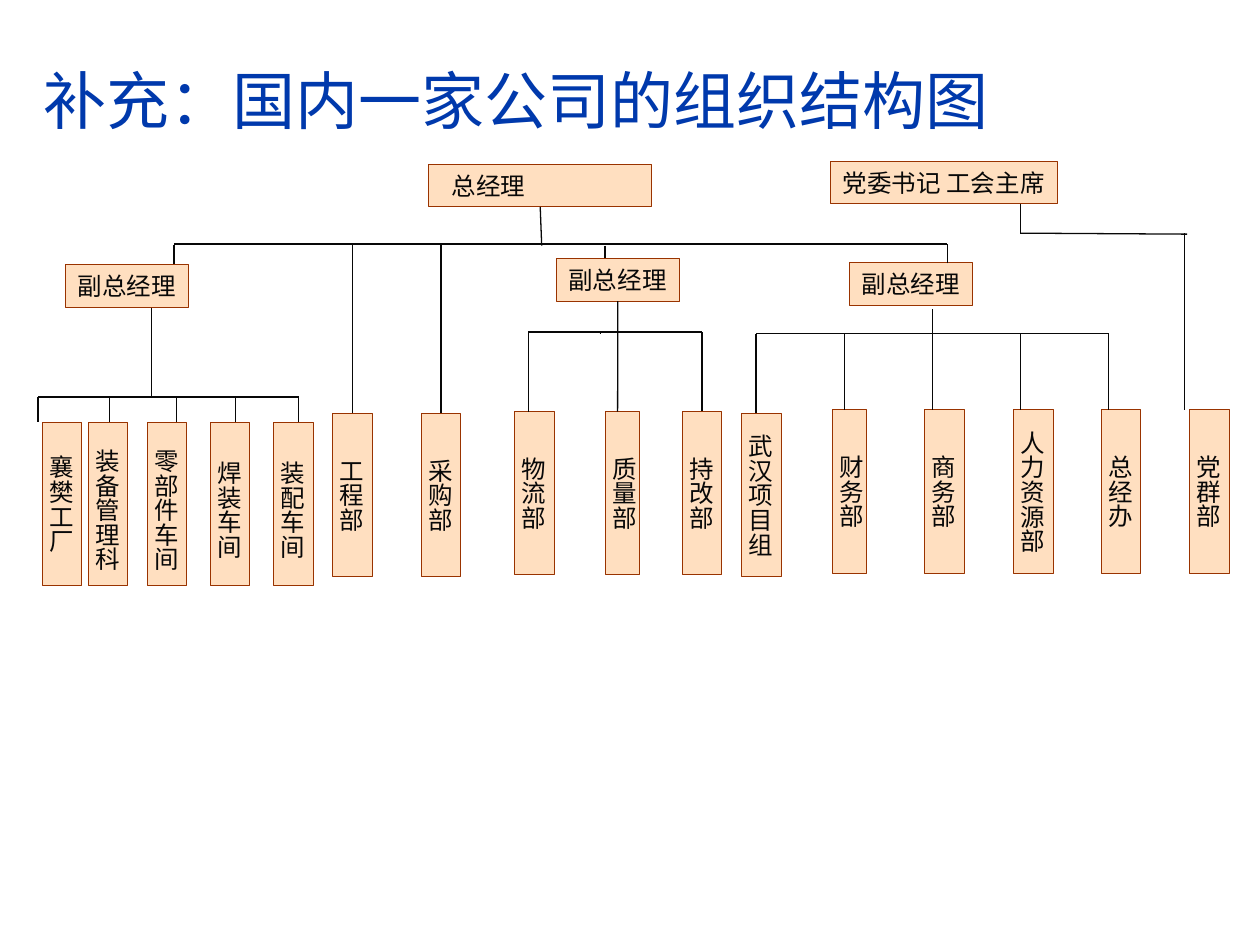
from pptx import Presentation
from pptx import util as u
from pptx.dml.color import RGBColor
from pptx.enum import shapes, text
from pptx.oxml.ns import qn
from lxml import etree

FONT = "Noto Sans CJK SC"
INK, PEACH, BROWN, BLUE = "080808", "FFCC99", "993300", "0039AC"
BOX_H, DEPT_H, CHAR_H = 0.86, 3.3, 0.49

prs = Presentation()
prs.slide_width, prs.slide_height = u.Cm(25.4), u.Cm(19.05)
s = prs.slides.add_slide(prs.slide_layouts[5])
rgb = RGBColor.from_string


def write(sp, words, size=14, color=INK, font=FONT, anchor=text.MSO_ANCHOR.TOP,
          wrap=True, vert=None, margins=(0.25, 0.13, 0.25, 0.13)):
    tf = sp.text_frame
    tf.word_wrap, tf.vertical_anchor = wrap, anchor
    tf.margin_left, tf.margin_top, tf.margin_right, tf.margin_bottom = map(u.Cm, margins)
    if vert:
        tf._txBody.bodyPr.set("vert", vert)
    p = tf.paragraphs[0]
    p.alignment = text.PP_ALIGN.LEFT
    r = p.add_run()
    r.text = words
    r.font.size, r.font.name, r.font.color.rgb = u.Pt(size), font, rgb(color)
    etree.SubElement(r._r.get_or_add_rPr(), qn("a:ea")).set("typeface", FONT)
    return p


def add_box(x, y, w, h, words, **fmt):
    sp = s.shapes.add_shape(shapes.MSO_SHAPE.RECTANGLE, *map(u.Cm, (x, y, w, h)))
    sp.shadow.inherit = False
    sp.fill.solid()
    sp.fill.fore_color.rgb = rgb(PEACH)
    clr = sp.fill._xPr.find(qn("a:solidFill"))[0]
    etree.SubElement(clr, qn("a:alpha")).set("val", "61000")
    sp.line.color.rgb, sp.line.width = rgb(BROWN), u.Pt(0.5)
    p = write(sp, words, **fmt)
    boxes.append(sp)
    return p


# Title
title = s.shapes.title
title.left, title.top, title.width, title.height = map(u.Cm, (0.62, 0.41, 23.72, 3.18))
write(title, "补充：国内一家公司的组织结构图", size=36, color=BLUE, font="Arial",
      anchor=text.MSO_ANCHOR.MIDDLE)

# Management
boxes = []
add_box(8.64, 3.31, 4.5, BOX_H, "总经理", margins=(0.47, 0.13, 0.25, 0.13))
add_box(16.74, 3.25, 4.57, BOX_H, "党委书记 工会主席", wrap=False)
for x, y in [(1.32, 5.33), (11.21, 5.21), (17.12, 5.29)]:
    add_box(x, y, 2.49, BOX_H, "副总经理", wrap=False)

# Departments: top edge, shift of the text below centre, then left edge and name
rows = [
    (8.51, 0, [(0.85, "襄樊工厂")]),
    (8.51, 0.12, [(1.78, "装备管理科"), (2.97, "零部件车间"), (4.24, "焊装车间"), (5.52, "装配车间")]),
    (8.33, 0, [(6.71, "工程部"), (8.49, "采购部"), (14.95, "武汉项目组")]),
    (8.29, 0, [(10.37, "物流部"), (12.2, "质量部"), (13.75, "持改部")]),
    (8.26, 0, [(16.78, "财务部"), (18.64, "商务部"), (20.43, "人力资源部"),
               (22.2, "总经办"), (23.98, "党群部")]),
]
for y, shift, depts in rows:
    for x, name in depts:
        narrow = name in ("质量部", "财务部")
        pad = (DEPT_H - CHAR_H * len(name)) / 2 + shift
        p = add_box(x, y, 0.69 if narrow else 0.8, DEPT_H, name, vert="eaVert",
                    margins=(0.13, pad, 0.13, 0.1))
        if narrow:
            p.line_spacing = 0.8

# Lines as x1, y1, x2, y2: thin ones first
thin = [
    # General manager to deputies and direct departments
    (10.89, 4.17, 10.92, 4.95), (19.1, 4.92, 3.51, 4.92),
    (19.1, 5.31, 19.1, 4.92), (3.51, 5.33, 3.51, 4.93),
    (7.11, 4.93, 7.11, 8.33), (8.89, 4.93, 8.89, 8.33),
    # Left deputy
    (3.05, 6.2, 3.05, 8),
    # Middle deputy
    (12.45, 8.3, 12.45, 6.08), (14.15, 6.69, 10.65, 6.69),
    (10.65, 8.3, 10.65, 6.69), (14.15, 8.3, 14.15, 6.69), (12.09, 6.73, 12.11, 6.73),
    # Right deputy
    (15.24, 6.73, 22.35, 6.73), (15.24, 8.33, 15.24, 6.73), (18.8, 8.26, 18.8, 6.22),
    # Party secretary
    (20.57, 4.11, 20.57, 4.72), (20.57, 4.7, 23.93, 4.72), (23.88, 8.26, 23.88, 4.7),
]
thin += [(x, 6.73, x, 8.26) for x in (17.02, 20.57, 22.35)]
thick = [(2.21, 8, 6.02, 8), (2.29, 8, 0.76, 8), (12.19, 4.95, 12.19, 5.21)]
thick += [(x, 8, x, 8.51) for x in (0.76, 2.21, 3.56, 4.75, 6.02)]

near = u.Cm(0.02)
for lines, weight in [(thin, 0.75), (thick, 1)]:
    for line in lines:
        x1, y1, x2, y2 = map(u.Cm, line)
        cxn = s.shapes.add_connector(shapes.MSO_CONNECTOR.STRAIGHT, x1, y1, x2, y2)
        cxn.line.color.rgb, cxn.line.width = rgb(INK), u.Pt(weight)
        etree.SubElement(cxn._element.spPr, qn("a:effectLst"))
        # Join ends that meet the middle of a box's top or bottom
        for x, y, join in [(x1, y1, cxn.begin_connect), (x2, y2, cxn.end_connect)]:
            for sp in boxes:
                for site, edge in [(0, sp.top), (2, sp.top + sp.height)]:
                    if abs(x - sp.left - sp.width / 2) < near and abs(y - edge) < near:
                        join(sp, site)

prs.save("out.pptx")
